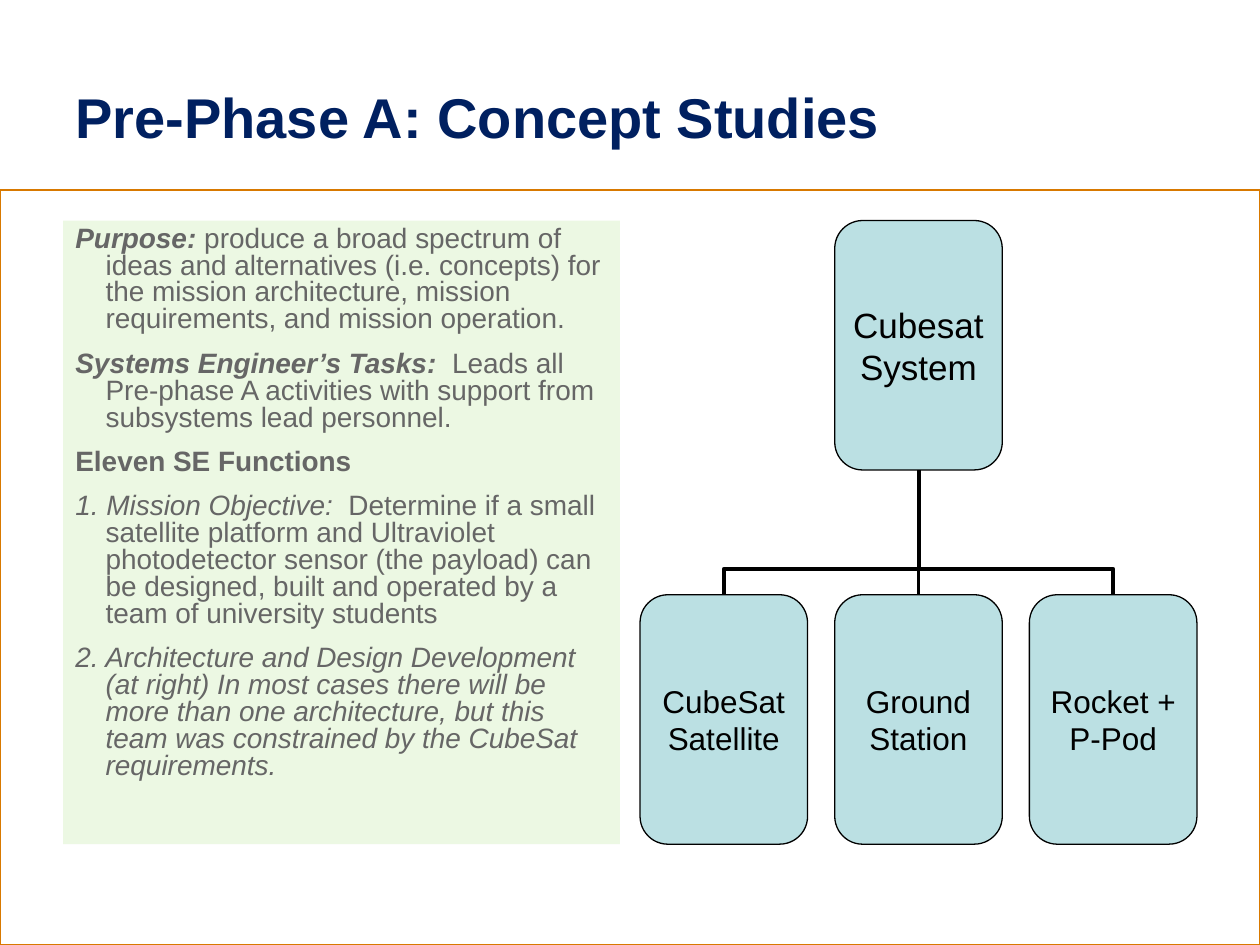
import pptx
import pptx.dml.color
import pptx.enum.shapes
import pptx.enum.text
import pptx.oxml
import pptx.oxml.ns
import pptx.util

NAVY = pptx.dml.color.RGBColor(0x00, 0x20, 0x60)
ORANGE = pptx.dml.color.RGBColor(0xD8, 0x79, 0x00)
GRAY = pptx.dml.color.RGBColor(0x66, 0x66, 0x66)
GREEN = pptx.dml.color.RGBColor(0xE5, 0xF6, 0xD8)
TEAL = pptx.dml.color.RGBColor(0xBB, 0xE0, 0xE3)
BLACK = pptx.dml.color.RGBColor(0x00, 0x00, 0x00)

Inches = pptx.util.Inches
FONT = "Arial"
SLIDE_WIDTH, SLIDE_HEIGHT = 10, 7.5
MARGIN = 0.05 * SLIDE_WIDTH
FRAME_TOP = 1.51
CONTENT_TOP, CONTENT_BOTTOM = 1.75, 6.7
BOX_WIDTH, BOX_HEIGHT = 1.33, 1.98
COLUMN_START, COLUMN_PITCH = 5.08, 1.545
ROW_PITCH = CONTENT_BOTTOM - CONTENT_TOP - BOX_HEIGHT
BEND_SHARE = 20800

PLAIN, BOLD, ITALIC, BOLD_ITALIC = (False, False), (True, False), (False, True), (True, True)
NOTES = [
    [("Purpose: ", BOLD_ITALIC),
     ("produce a broad spectrum of ideas and alternatives (i.e. concepts) for the mission "
      "architecture, mission requirements, and mission operation.", PLAIN)],
    [("Systems Engineer’s Tasks:", BOLD_ITALIC),
     ("  Leads all Pre-phase A activities with support from subsystems lead personnel.", PLAIN)],
    [("Eleven SE Functions", BOLD)],
    [("1. Mission Objective:", ITALIC),
     ("  Determine if a small satellite platform and Ultraviolet photodetector sensor (the "
      "payload) can be designed, built and operated by a team of university students", PLAIN)],
    [("2. Architecture and Design Development (at right) In most cases there will be more than "
      "one architecture, but this team was constrained by the CubeSat requirements.", ITALIC)],
]
SUBSYSTEMS = ["CubeSat Satellite", "Ground Station", "Rocket + P-Pod"]


def add_run(paragraph, text, size, color, style=PLAIN):
    """Append one styled run to a paragraph."""
    run = paragraph.add_run()
    run.text = text
    run.font.name = FONT
    run.font.size = pptx.util.Pt(size)
    run.font.bold, run.font.italic = style
    run.font.color.rgb = color


def add_block(slide, kind, left, top, width, height, fill=None, line=None, weight=1):
    """Add a preset shape with an optional fill and outline."""
    shape = slide.shapes.add_shape(kind, Inches(left), Inches(top), Inches(width), Inches(height))
    shape.shadow.inherit = False
    for part, color in ((shape.fill, fill), (shape.line.fill, line)):
        if color is None:
            part.background()
        else:
            part.solid()
            part.fore_color.rgb = color
    if line is not None:
        shape.line.width = pptx.util.Pt(weight)
    return shape


def add_title(slide, text):
    """Add the slide title."""
    shape = slide.shapes.add_textbox(
        Inches(MARGIN), Inches(0.3), Inches(SLIDE_WIDTH - 2 * MARGIN), Inches(1.25))
    frame = shape.text_frame
    frame.word_wrap = True
    frame.vertical_anchor = pptx.enum.text.MSO_ANCHOR.MIDDLE
    add_run(frame.paragraphs[0], text, 32, NAVY, BOLD)


def add_notes_panel(slide):
    """Add the translucent panel with hanging paragraphs."""
    panel = add_block(slide, pptx.enum.shapes.MSO_SHAPE.RECTANGLE, MARGIN, CONTENT_TOP,
                      4.42, CONTENT_BOTTOM - CONTENT_TOP, GREEN)
    color = panel._element.spPr.find(".//" + pptx.oxml.ns.qn("a:srgbClr"))
    pptx.oxml.ns.qn("a:alpha")
    alpha = color.makeelement(pptx.oxml.ns.qn("a:alpha"), {"val": "70000"})
    color.append(alpha)
    frame = panel.text_frame
    frame.word_wrap = True
    frame.vertical_anchor = pptx.enum.text.MSO_ANCHOR.TOP
    for index, runs in enumerate(NOTES):
        paragraph = frame.add_paragraph() if index else frame.paragraphs[0]
        paragraph.alignment = pptx.enum.text.PP_ALIGN.LEFT
        paragraph.line_spacing = 0.8
        paragraph.space_before = pptx.util.Pt(4)
        paragraph.space_after = pptx.util.Pt(6)
        properties = paragraph._p.get_or_add_pPr()
        properties.set("marL", str(Inches(0.24)))
        properties.set("indent", str(-Inches(0.24)))
        for text, style in runs:
            add_run(paragraph, text, 16, GRAY, style)


def add_box(slide, column, row, text, size):
    """Add a chart box at a column and row of the grid."""
    box = add_block(slide, pptx.enum.shapes.MSO_SHAPE.ROUNDED_RECTANGLE,
                    COLUMN_START + column * COLUMN_PITCH, CONTENT_TOP + row * ROW_PITCH,
                    BOX_WIDTH, BOX_HEIGHT, TEAL, BLACK, 0.75)
    frame = box.text_frame
    frame.word_wrap = True
    frame.margin_left = frame.margin_right = frame.margin_top = frame.margin_bottom = 0
    frame.vertical_anchor = pptx.enum.text.MSO_ANCHOR.MIDDLE
    frame.paragraphs[0].alignment = pptx.enum.text.PP_ALIGN.CENTER
    add_run(frame.paragraphs[0], text, size, BLACK)
    return box


def add_link(slide, kind, begin_x, begin_y, end_x, end_y):
    """Add a black connector without a shadow."""
    connector = slide.shapes.add_connector(
        kind, Inches(begin_x), Inches(begin_y), Inches(end_x), Inches(end_y))
    connector.line.color.rgb = BLACK
    connector.line.width = pptx.util.Pt(2.25)
    properties = connector._element.spPr
    properties.append(properties.makeelement(pptx.oxml.ns.qn("a:effectLst"), {}))
    return connector


def add_branch(slide, side, center_x, top, bottom):
    """Add an elbow from an outer child up to the parent, with side -1 or 1."""
    middle_x = center_x + side * COLUMN_PITCH / 2
    middle_y = (top + bottom) / 2
    half_run = side * (bottom - top) / 2
    connector = add_link(slide, pptx.enum.shapes.MSO_CONNECTOR.ELBOW,
                         middle_x - half_run, middle_y + COLUMN_PITCH / 2,
                         middle_x + half_run, middle_y - COLUMN_PITCH / 2)
    properties = connector._element.spPr
    turn = 270 if side > 0 else 90
    properties.find(pptx.oxml.ns.qn("a:xfrm")).set("rot", str(turn * 60000))
    adjustments = properties.find(".//" + pptx.oxml.ns.qn("a:avLst"))
    adjustments.append(adjustments.makeelement(
        pptx.oxml.ns.qn("a:gd"), {"name": "adj1", "fmla": f"val {BEND_SHARE}"}))


def add_system_chart(slide):
    """Add the system box, its subsystems and their links."""
    center_x = COLUMN_START + COLUMN_PITCH + BOX_WIDTH / 2
    top, bottom = CONTENT_TOP + BOX_HEIGHT, CONTENT_TOP + ROW_PITCH
    for side in (1, -1):
        add_branch(slide, side, center_x, top, bottom)
    trunk = add_link(slide, pptx.enum.shapes.MSO_CONNECTOR.STRAIGHT,
                     center_x, bottom, center_x, top)
    system = add_box(slide, 1, 0, "Cubesat System", 20)
    children = [add_box(slide, column, 1, name, 18) for column, name in enumerate(SUBSYSTEMS)]
    trunk.begin_connect(children[1], 0)
    trunk.end_connect(system, 2)


def main():
    """Build and save the slide."""
    presentation = pptx.Presentation()
    presentation.slide_width = Inches(SLIDE_WIDTH)
    presentation.slide_height = Inches(SLIDE_HEIGHT)
    slide = presentation.slides.add_slide(presentation.slide_layouts[6])
    add_block(slide, pptx.enum.shapes.MSO_SHAPE.RECTANGLE, 0, FRAME_TOP,
              SLIDE_WIDTH, SLIDE_HEIGHT - FRAME_TOP, line=ORANGE)
    add_title(slide, "Pre-Phase A: Concept Studies")
    add_notes_panel(slide)
    add_system_chart(slide)
    presentation.save("out.pptx")


if __name__ == "__main__":
    main()
